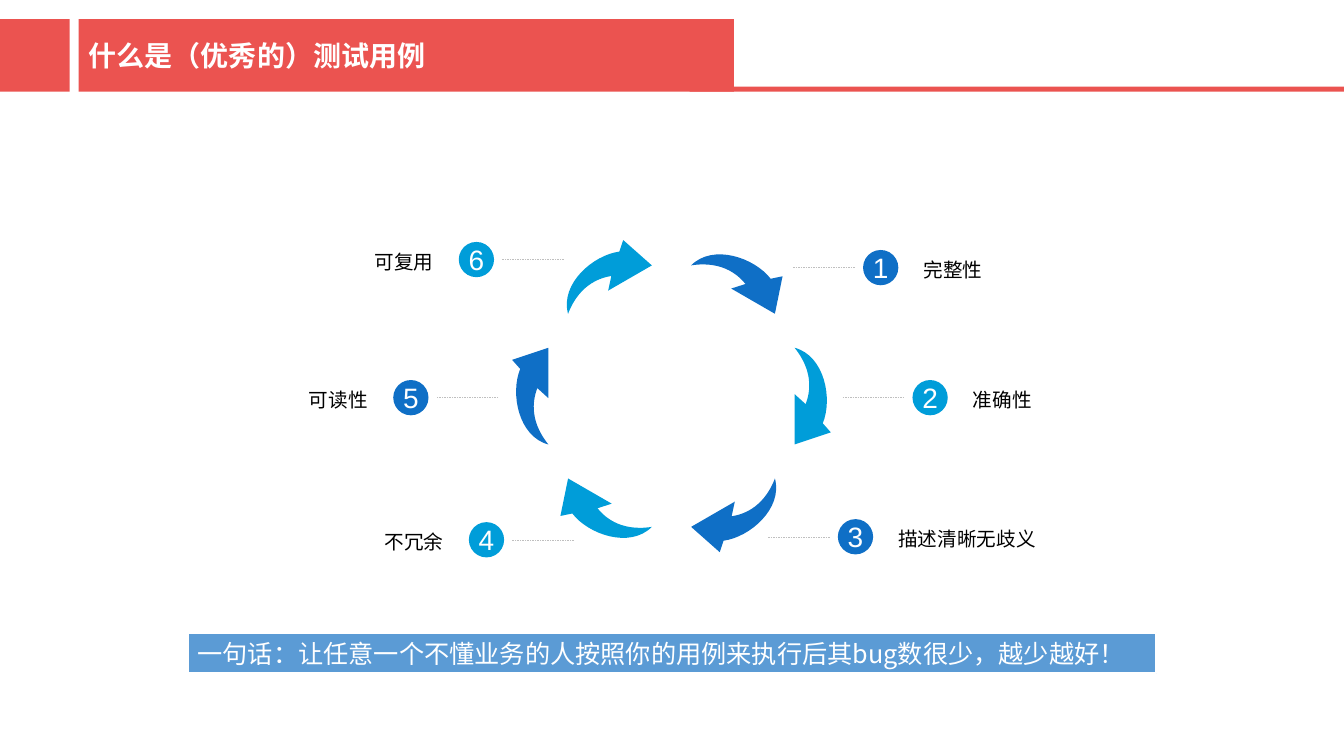
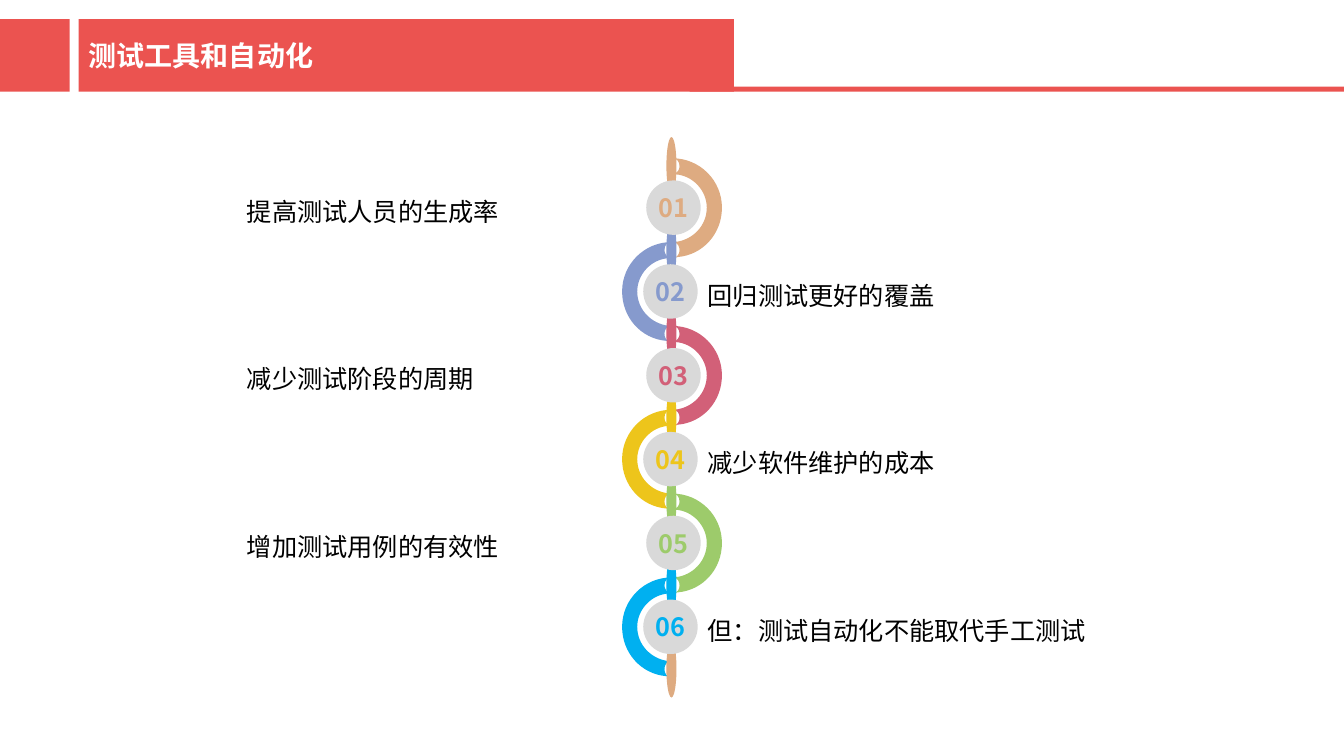
from dataclasses import dataclass
from math import cos, radians, sin

from lxml import etree
from pptx import Presentation
from pptx.dml.color import RGBColor
from pptx.enum.dml import MSO_LINE
from pptx.enum.shapes import MSO_CONNECTOR, MSO_SHAPE, PP_PLACEHOLDER
from pptx.enum.text import MSO_ANCHOR, MSO_AUTO_SIZE, PP_ALIGN
from pptx.oxml.ns import qn
from pptx.util import Inches, Pt

RECT, OVAL = MSO_SHAPE.RECTANGLE, MSO_SHAPE.OVAL
LEFT, CENTER, RIGHT, JUSTIFY = PP_ALIGN.LEFT, PP_ALIGN.CENTER, PP_ALIGN.RIGHT, PP_ALIGN.JUSTIFY
TOP, MIDDLE = MSO_ANCHOR.TOP, MSO_ANCHOR.MIDDLE


@dataclass(frozen=True)
class Theme:
    red: str = "EB5350"
    white: str = "FFFFFF"
    black: str = "000000"
    dark_blue: str = "0F6FC6"
    light_blue: str = "009DD9"
    banner: str = "5B9BD5"
    leader: str = "BFBFBF"
    grey: str = "D9D9D9"
    tan: str = "DEAB81"
    cjk: str = "Noto Sans CJK SC"
    latin: str = "Arial"
    title: int = 20
    number: int = 20
    body: int = 18
    label: int = 14


T = Theme()

TITLES = ["什么是（优秀的）测试用例", "测试工具和自动化"]
BANDS = [(0, 0.19, 0.69, 0.72), (6.84, 0.86, 6.5, 0.05)]
TITLE_BOX = (0.78, 0.19, 6.5, 0.72)

# Label, left and top of the number badge; clockwise from the upper right
QUALITIES = [
    ("完整性", 8.56, 2.48),
    ("准确性", 9.05, 3.77),
    ("描述清晰无歧义", 8.31, 5.15),
    ("不冗余", 4.65, 5.18),
    ("可读性", 3.9, 3.77),
    ("可复用", 4.55, 2.4),
]
SUMMARY = "一句话：让任意一个不懂业务的人按照你的用例来执行后其bug数很少，越少越好！"
RING_X, RING_Y, RING_RADIUS = 6.66, 3.93, 1.4

BENEFITS = [
    ("提高测试人员的生成率", T.tan),
    ("回归测试更好的覆盖", "869ACD"),
    ("减少测试阶段的周期", "D26078"),
    ("减少软件维护的成本", "EDC51B"),
    ("增加测试用例的有效性", "9DCB6B"),
    ("但：测试自动化不能取代手工测试", "00B0F0"),
]
AXIS_X = 6.66
PITCH = 4.99 / len(BENEFITS)

# Outlines: a pair is a line's end, six numbers are a Bezier curve
ARROW = [
    (0.36, -0.18), (0.48, 0.18), (-0.02, 0.18), (0.08, 0.07),
    (0, 0.04, -0.22, -0.03, -0.48, 0.18),
    (-0.4, -0.12, 0.03, -0.2, 0.27, -0.1),
]
HALF_RING = [
    (0, 0),
    (0.27, 0, 0.49, 0.22, 0.49, 0.49),
    (0.49, 0.75, 0.3, 0.96, 0.05, 0.98),
    (0, 0.99), (0.01, 0.99),
    (0.05, 0.98, 0.07, 0.95, 0.07, 0.91),
    (0.07, 0.87, 0.05, 0.84, 0.01, 0.83),
    (0.03, 0.83),
    (0.2, 0.81, 0.34, 0.67, 0.34, 0.49),
    (0.34, 0.32, 0.2, 0.17, 0.03, 0.16),
    (0.01, 0.15),
    (0.05, 0.15, 0.07, 0.11, 0.07, 0.08),
    (0.07, 0.03, 0.04, 0, 0, 0),
]


def rgb(value):
    return RGBColor.from_string(value)


def paint(sp, color):
    sp.shadow.inherit = False
    sp.fill.solid()
    sp.fill.fore_color.rgb = rgb(color)
    sp.line.fill.background()
    return sp


def add_shape(s, kind, box, color):
    return paint(s.shapes.add_shape(kind, *map(Inches, box)), color)


def write(sp, text, size, color, latin=T.cjk, bold=False, align=LEFT,
          anchor=MIDDLE, spacing=None, inset=None):
    tf = sp.text_frame
    frame = {"word_wrap": True, "auto_size": MSO_AUTO_SIZE.NONE, "vertical_anchor": anchor}
    if inset is not None:
        sides = ("left", "top", "right", "bottom")
        frame.update({f"margin_{side}": Inches(inset) for side in sides})
    for name, value in frame.items():
        setattr(tf, name, value)
    p = tf.paragraphs[0]
    p.alignment = align
    if spacing:
        p.line_spacing = spacing
    r = p.add_run()
    r.text = text
    for name, value in {"size": Pt(size), "bold": bold, "name": latin}.items():
        setattr(r.font, name, value)
    r.font.color.rgb = rgb(color)
    etree.SubElement(r.font._element, qn("a:ea")).set("typeface", T.cjk)


def add_text(s, box, text, size, **style):
    write(s.shapes.add_textbox(*map(Inches, box)), text, size, T.black, **style)


def add_outline(s, outline, x, y, color, mirror=1):
    """Build the outline from its end points, then bend the curved segments."""
    parts = [[(Inches(x + mirror * u), Inches(y + v)) for u, v in zip(part[::2], part[1::2])]
             for part in outline]
    builder = s.shapes.build_freeform(*parts[0][-1])
    builder.add_line_segments([part[-1] for part in parts[1:]], close=True)
    sp = builder.convert_to_shape()
    segments = list(sp.element.iter(qn("a:lnTo")))
    for segment, points in zip(segments, parts[1:]):
        if len(points) == 1:
            continue
        curve = etree.Element(qn("a:cubicBezTo"))
        for px, py in points:
            pt = etree.SubElement(curve, qn("a:pt"))
            pt.set("x", str(px - sp.left))
            pt.set("y", str(py - sp.top))
        segment.getparent().replace(segment, curve)
    return paint(sp, color)


def add_leader(s, x1, x2, y):
    line = s.shapes.add_connector(MSO_CONNECTOR.STRAIGHT, *map(Inches, (x1, y, x2, y)))
    line.line.color.rgb = rgb(T.leader)
    line.line.width = Pt(0.25)
    line.line.dash_style = MSO_LINE.DASH
    etree.SubElement(line.element.spPr, qn("a:effectLst"))


def add_title_slide(prs, layout, title):
    s = prs.slides.add_slide(layout)
    sp = s.shapes.title
    sp.left, sp.top, sp.width, sp.height = map(Inches, TITLE_BOX)
    sp.fill.solid()
    sp.fill.fore_color.rgb = rgb(T.red)
    write(sp, title, T.title, T.white, bold=True)
    return s


def share_bands(s, layout):
    """Draw the bands on a slide, then hand them to its layout."""
    for ph in list(layout.placeholders):
        if ph.placeholder_format.type == PP_PLACEHOLDER.TITLE:
            title = ph
        else:
            ph.element.getparent().remove(ph.element)
    for band in [add_shape(s, RECT, box, T.red) for box in BANDS]:
        title.element.addprevious(band.element)


def draw_qualities(s):
    badge, near, far, gap = 0.35, 0.08, 0.69, 0.25
    for i, (label, x, y) in enumerate(QUALITIES):
        color = (T.dark_blue, T.light_blue)[i % 2]
        angle = 60 * i - 60
        arrow = add_outline(s, ARROW, RING_X + RING_RADIUS * cos(radians(angle)),
                            RING_Y + RING_RADIUS * sin(radians(angle)), color)
        arrow.rotation = (angle + 90) % 360
        if i < 3:
            leader, width, align = (x - far, x - near), 3.06, LEFT
            text_x = x + badge + gap
        else:
            leader, width, align = (x + badge + far, x + badge + near), 2.8, RIGHT
            text_x = x - gap - width
        add_leader(s, *leader, y + badge / 2)
        write(add_shape(s, OVAL, (x, y, badge, badge), color), str(i + 1), T.number,
              T.white, latin=T.latin, align=CENTER, inset=0)
        add_text(s, (text_x, y - 0.43, width, 1.18), label, T.label, latin=T.latin,
                 align=align, spacing=1.3, inset=0)

    banner = add_shape(s, RECT, (1.86, 6.28, 9.61, 0.4), T.banner)
    banner.line.color.rgb = rgb(T.white)
    banner.line.width = Pt(1.5)
    write(banner, SUMMARY, T.body, T.white, anchor=TOP)
    banner.text_frame.auto_size = MSO_AUTO_SIZE.SHAPE_TO_FIT_TEXT


def draw_benefits(s):
    colors = [color for _, color in BENEFITS]
    for i, color in enumerate(colors):
        x, mirror = ((AXIS_X + 0.01, 1), (AXIS_X, -1))[i % 2]
        add_outline(s, HALF_RING, x, 1.57 + i * PITCH, color, mirror)
    for i, color in enumerate(colors + colors[:1]):
        add_shape(s, OVAL, (AXIS_X - 0.05, 1.36 + i * PITCH, 0.1, 0.57), color)
    for i, (text, color) in enumerate(BENEFITS):
        badge_x, text_x = ((6.41, 2.35), (6.38, 6.92))[i % 2]
        badge = add_shape(s, OVAL, (badge_x, 1.79 + i * PITCH, 0.54, 0.54), T.grey)
        write(badge, f"{i + 1:02}", T.body, color, bold=True, align=CENTER, inset=0)
        add_text(s, (text_x, 1.67 + i * PITCH, 4.06, 0.79), text, T.body,
                 align=JUSTIFY, spacing=1.2)


def main():
    prs = Presentation()
    prs.slide_width, prs.slide_height = Inches(13.33), Inches(7.5)
    layout = prs.slide_layouts[5]
    qualities, benefits = [add_title_slide(prs, layout, title) for title in TITLES]
    share_bands(qualities, layout)
    draw_qualities(qualities)
    draw_benefits(benefits)
    prs.save("out.pptx")


if __name__ == "__main__":
    main()
